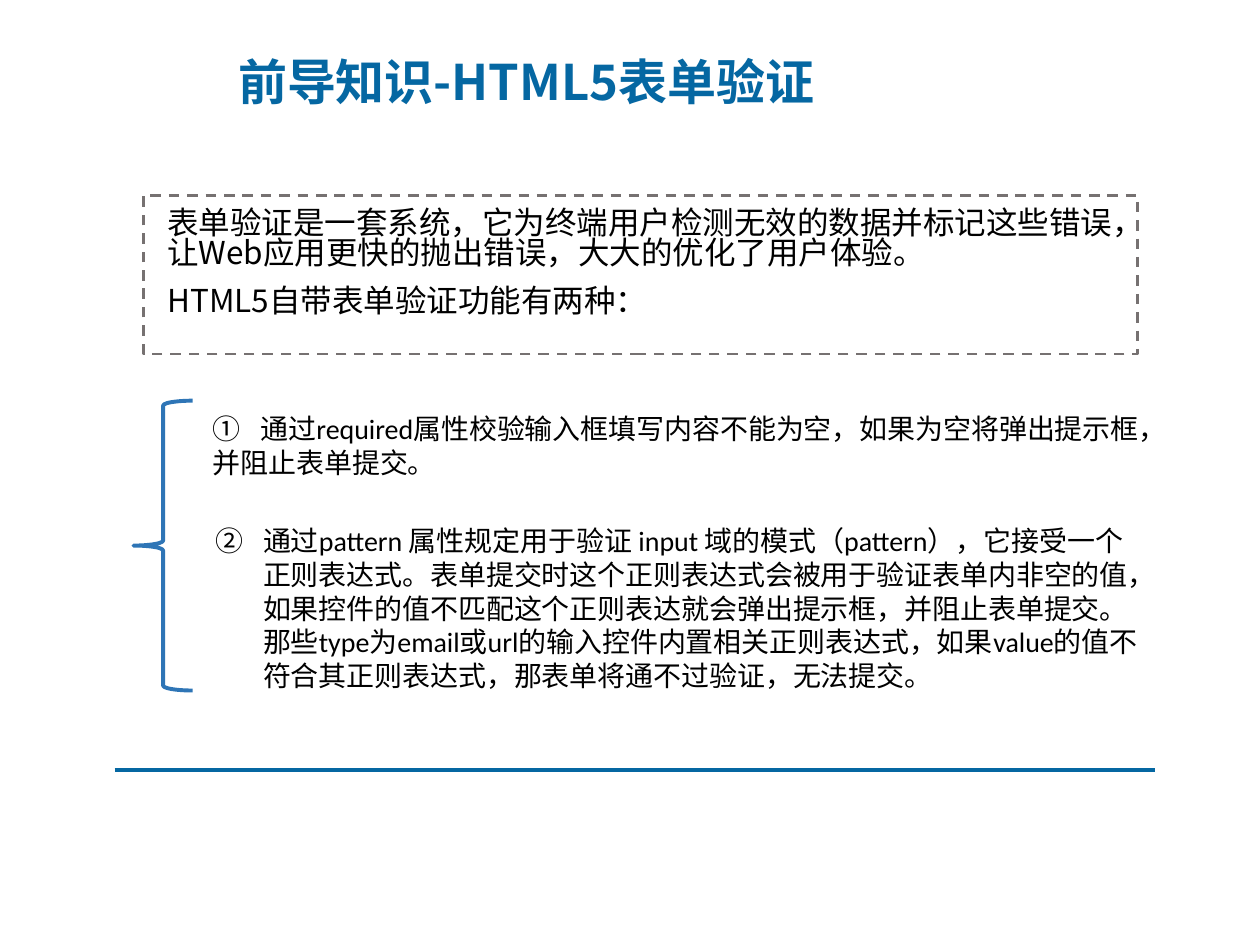
import pptx
import pptx.util
import pptx.dml.color
import pptx.enum.dml
import pptx.enum.shapes
import pptx.enum.text
import pptx.oxml
import pptx.oxml.ns

RGBColor = pptx.dml.color.RGBColor
MSO_SHAPE = pptx.enum.shapes.MSO_SHAPE
BLACK = RGBColor(0x00, 0x00, 0x00)
WHITE = RGBColor(0xFF, 0xFF, 0xFF)
GREY = RGBColor(0x76, 0x71, 0x71)
BRACE_BLUE = RGBColor(0x2E, 0x75, 0xB6)
TITLE_BLUE = RGBColor(0x05, 0x67, 0xA2)
WIDTH, HEIGHT = pptx.util.Inches(10), pptx.util.Inches(7.5)
CJK_FONT, LATIN_FONT = "Noto Sans CJK SC", "Calibri"

INTRO = [
    "表单验证是一套系统，它为终端用户检测无效的数据并标记这些错误，让Web应用更快的抛出错误，大大的优化了用户体验。",
    "HTML5自带表单验证功能有两种：",
]
REQUIRED = [
    "通过required属性校验输入框填写内容不能为空，如果为空将弹出提示框，",
    "并阻止表单提交。",
]
PATTERN = [
    "通过pattern 属性规定用于验证 input 域的模式（pattern），它接受一个正则表达式。"
    "表单提交时这个正则表达式会被用于验证表单内非空的值，"
    "如果控件的值不匹配这个正则表达就会弹出提示框，并阻止表单提交。"
    "那些type为email或url的输入控件内置相关正则表达式，"
    "如果value的值不符合其正则表达式，那表单将通不过验证，无法提交。",
]


def share(x, y, w, h):
    return [int(v * size / 100) for v, size in zip((x, y, w, h), (WIDTH, HEIGHT) * 2)]


def add_child(parent, tag, **attrs):
    child = pptx.oxml.ns.qn(tag)
    el = parent.makeelement(child, {k: str(v) for k, v in attrs.items()})
    parent.append(el)
    return el


def add_run(p, text, size, font, color, bold=False):
    r = p.add_run()
    r.text = text
    r.font.size = pptx.util.Pt(size)
    r.font.name = font
    r.font.bold = bold
    r.font.color.rgb = color
    add_child(r._r.get_or_add_rPr(), "a:ea", typeface=CJK_FONT)


def number_paragraph(p, start):
    pPr = p._p.get_or_add_pPr()
    indent = pptx.util.Inches(0.38)
    pPr.set("marL", str(indent))
    pPr.set("indent", str(-indent))
    add_child(pPr, "a:buFont", typeface="+mj-ea")
    add_child(pPr, "a:buAutoNum", type="circleNumDbPlain", startAt=start)


def add_title(s, box, text):
    sp = s.shapes.title
    sp.left, sp.top, sp.width, sp.height = share(*box)
    tf = sp.text_frame
    tf.auto_size = pptx.enum.text.MSO_AUTO_SIZE.NONE
    tf.vertical_anchor = pptx.enum.text.MSO_ANCHOR.MIDDLE
    p = tf.paragraphs[0]
    p.alignment = pptx.enum.text.PP_ALIGN.LEFT
    add_run(p, text, 28, CJK_FONT, TITLE_BLUE, bold=True)


def add_text(s, box, texts, size, font, number=None, spacing=None, before=None):
    tf = s.shapes.add_textbox(*share(*box)).text_frame
    tf.word_wrap = True
    for i, text in enumerate(texts):
        p = tf.add_paragraph() if i else tf.paragraphs[0]
        if spacing:
            p.line_spacing = spacing
            p.space_before = pptx.util.Pt(before)
        if number and i == 0:
            number_paragraph(p, number)
        add_run(p, text, size, font, BLACK)


def add_outline(s, kind, box, color, weight):
    sp = s.shapes.add_shape(kind, *share(*box))
    sp.shadow.inherit = False
    sp.fill.background()
    sp.line.color.rgb = color
    sp.line.width = pptx.util.Pt(weight)
    return sp


def add_frame(s, box):
    sp = add_outline(s, MSO_SHAPE.RECTANGLE, box, GREY, 1.5)
    sp.line.dash_style = pptx.enum.dml.MSO_LINE.DASH
    sp.fill.solid()
    sp.fill.fore_color.rgb = WHITE
    color = sp._element.spPr.find(".//" + pptx.oxml.ns.qn("a:srgbClr"))
    add_child(color, "a:alpha", val=90000)


def add_rule(s, x, y, w):
    left, top, width, _ = share(x, y, w, 0)
    line = s.shapes.add_connector(
        pptx.enum.shapes.MSO_CONNECTOR.STRAIGHT, left, top, left + width, top)
    line.line.color.rgb = TITLE_BLUE
    line.line.width = pptx.util.Pt(2.25)
    add_child(line._element.spPr, "a:effectLst")


def main():
    prs = pptx.Presentation()
    prs.slide_width, prs.slide_height = WIDTH, HEIGHT
    s = prs.slides.add_slide(prs.slide_layouts[5])
    add_title(s, (17.9, 2.93, 82.5, 11.2), "前导知识-HTML5表单验证")
    add_frame(s, (11.4, 20.67, 78.9, 16.8))
    add_text(s, (12.3, 21.6, 80.2, 13.6), INTRO, 18, CJK_FONT, spacing=0.8, before=10)
    add_text(s, (15.9, 42.93, 80.6, 8.53), REQUIRED, 16, LATIN_FONT, number=1)
    add_outline(s, MSO_SHAPE.LEFT_BRACE, (10.6, 42.4, 4.7, 30.67), BRACE_BLUE, 2.25)
    add_text(s, (16.1, 54.8, 75.6, 19.33), PATTERN, 16, LATIN_FONT, number=2)
    add_rule(s, 9.1, 81.47, 82.6)
    prs.save("out.pptx")


if __name__ == "__main__":
    main()
